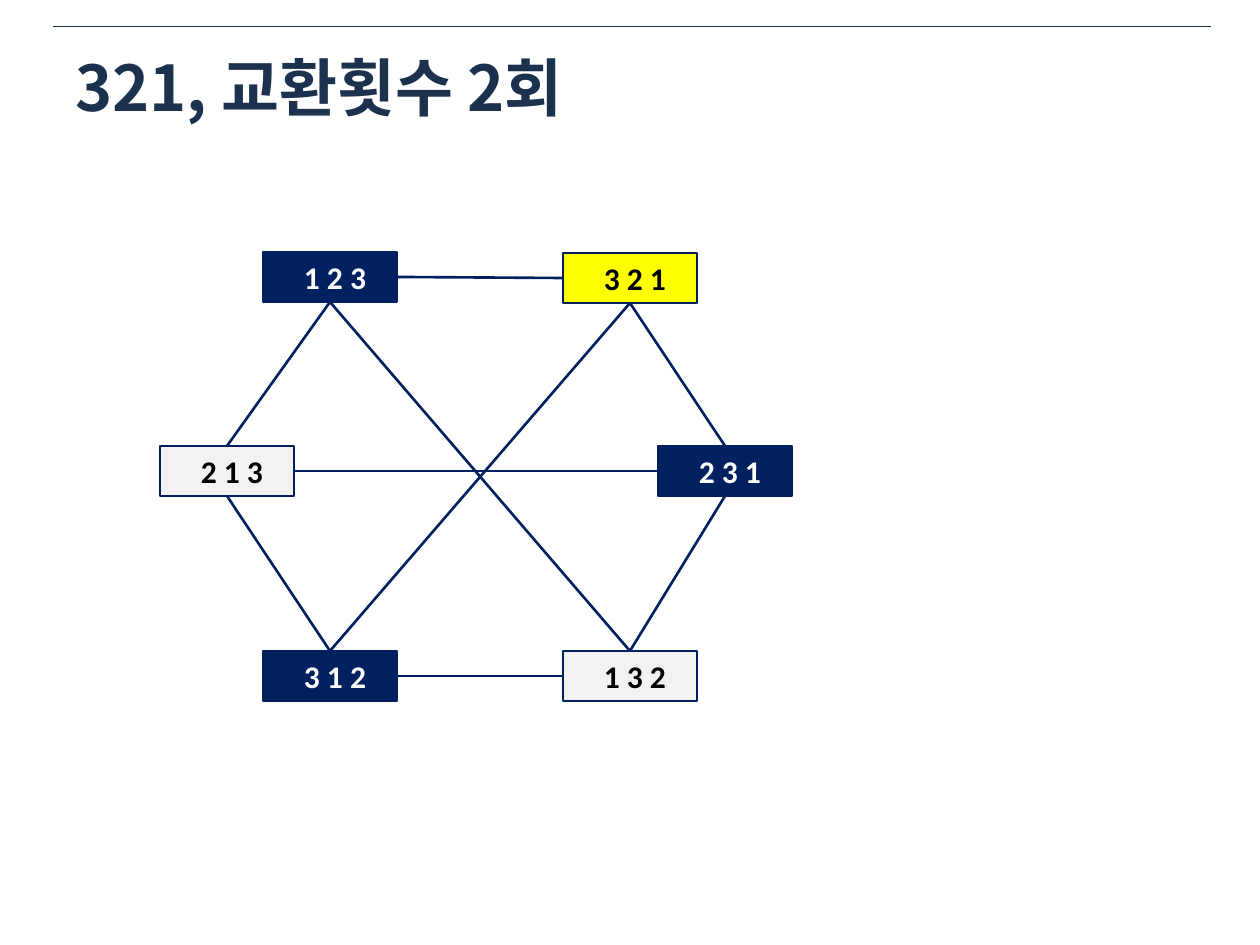
from lxml.etree import SubElement
from pptx import Presentation
from pptx.dml.color import RGBColor
from pptx.enum.shapes import MSO_CONNECTOR as CONN, MSO_SHAPE as SHAPE
from pptx.enum.text import MSO_ANCHOR as ANCHOR, PP_ALIGN as ALIGN
from pptx.oxml.ns import qn
from pptx.util import Emu, Inches, Pt

SLATE = RGBColor(0x1C, 0x31, 0x4E)
NAVY = RGBColor(0x00, 0x20, 0x60)
PALE = RGBColor(0xF2, 0xF2, 0xF2)
YELLOW = RGBColor(0xFF, 0xFF, 0x00)
BLACK = RGBColor(0x00, 0x00, 0x00)
WHITE = RGBColor(0xFF, 0xFF, 0xFF)

TITLE_FONT = "Noto Sans CJK KR"
NODE_W, NODE_H = 134, 50
TOP, LEFT, BOTTOM, RIGHT = range(4)  # connection sites of a rectangle

# label: (x, y, fill, text colour)
NODES = {
    "2 1 3": (0, 194, PALE, BLACK),
    "1 2 3": (103, 0, NAVY, WHITE),
    "2 3 1": (498, 194, NAVY, WHITE),
    "3 1 2": (103, 399, NAVY, WHITE),
    "1 3 2": (403, 399, PALE, BLACK),
    "3 2 1": (403, 1, YELLOW, BLACK),
}
EDGES = [
    ("2 1 3", TOP, "1 2 3", BOTTOM),
    ("2 1 3", BOTTOM, "3 1 2", TOP),
    ("3 1 2", RIGHT, "1 3 2", LEFT),
    ("2 1 3", RIGHT, "2 3 1", LEFT),
    ("1 2 3", RIGHT, "3 2 1", LEFT),
    ("3 2 1", BOTTOM, "2 3 1", TOP),
    ("2 3 1", BOTTOM, "1 3 2", TOP),
    ("1 2 3", BOTTOM, "1 3 2", TOP),
    ("3 2 1", BOTTOM, "3 1 2", TOP),
]


def px(n):
    return Emu(round(n * 914400 / 126))


def set_font(p, name, size, color):
    p.font.name, p.font.size, p.font.bold = name, Pt(size), True
    p.font.color.rgb = color


def add_line(s, x1, y1, x2, y2, color, width):
    line = s.shapes.add_connector(CONN.STRAIGHT, px(x1), px(y1), px(x2), px(y2))
    line.line.color.rgb = color
    line.line.width = Pt(width)
    SubElement(line._element.spPr, qn("a:effectLst"))
    return line


def add_header(s, x, y, w):
    """Thin rule with the slide title below it."""
    add_line(s, x, y, x + w, y, SLATE, 0.25)
    tf = s.shapes.add_textbox(px(x + 10), px(y + 18), px(w - 24), px(84)).text_frame
    tf.word_wrap = True
    tf.vertical_anchor = ANCHOR.MIDDLE
    p = tf.paragraphs[0]
    p.text = "321, 교환횟수 2회"
    set_font(p, TITLE_FONT, 36, SLATE)
    default = p._p.pPr.find(qn("a:defRPr"))
    SubElement(default, qn("a:ea")).set("typeface", TITLE_FONT)


def add_node(s, x, y, label, fill, color):
    sp = s.shapes.add_shape(SHAPE.RECTANGLE, px(x), px(y), px(NODE_W), px(NODE_H))
    sp.shadow.inherit = False
    sp.fill.solid()
    sp.fill.fore_color.rgb = fill
    sp.line.color.rgb = NAVY
    sp.line.width = Pt(1.5)
    tf = sp.text_frame
    tf.word_wrap = True
    tf.vertical_anchor = ANCHOR.MIDDLE
    p = tf.paragraphs[0]
    p.text = label
    p.alignment = ALIGN.CENTER
    p.space_after = Pt(2)
    p._p.get_or_add_pPr().set("marL", str(px(10)))
    set_font(p, "Calibri", 18, color)
    return sp


def add_graph(s, x, y):
    """Permutations as nodes, joined where one swap leads to the other."""
    nodes = {label: add_node(s, x + dx, y + dy, label, fill, color)
             for label, (dx, dy, fill, color) in NODES.items()}
    for start, start_site, end, end_site in EDGES:
        line = add_line(s, x, y, x, y, NAVY, 1.5)
        line.begin_connect(nodes[start], start_site)
        line.end_connect(nodes[end], end_site)


def main():
    prs = Presentation()
    prs.slide_width, prs.slide_height = Inches(10), Inches(7.5)
    s = prs.slides.add_slide(prs.slide_layouts[6])
    add_header(s, 53, 26, 1158)
    add_graph(s, 160, 252)
    prs.save("out.pptx")


if __name__ == "__main__":
    main()
